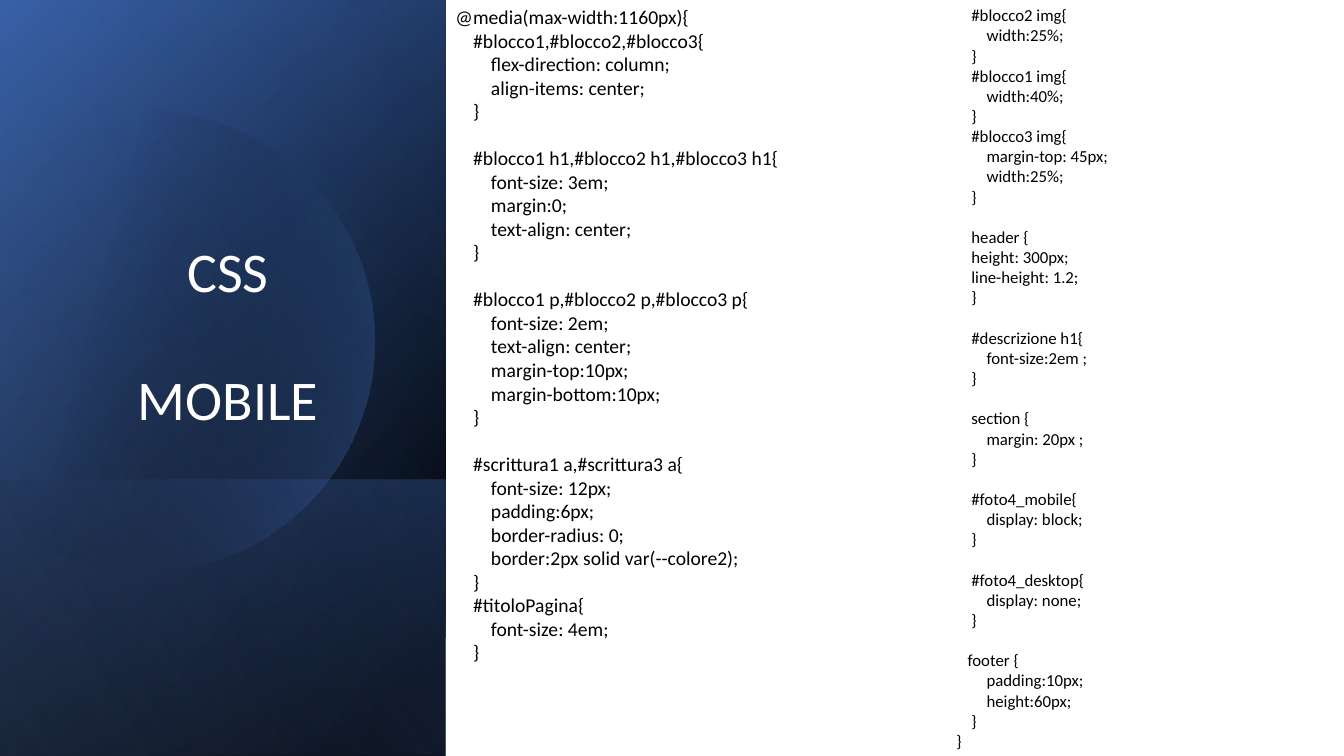
from math import acos, cos, degrees, radians, sin

from lxml import etree
from pptx import Presentation
from pptx.dml.color import RGBColor
from pptx.enum.shapes import MSO_SHAPE
from pptx.enum.text import MSO_ANCHOR, PP_ALIGN
from pptx.oxml.ns import qn
from pptx.util import Cm, Pt

RECTANGLE = MSO_SHAPE.RECTANGLE
CENTER = PP_ALIGN.CENTER
BOTTOM = MSO_ANCHOR.BOTTOM

WHITE = RGBColor(0xFF, 0xFF, 0xFF)
BLACK = RGBColor(0x00, 0x00, 0x00)
BLUE = RGBColor(0x44, 0x72, 0xC4)
DARK_BLUE = RGBColor(0x2F, 0x55, 0x97)
LIGHT_BLUE = RGBColor(0x8F, 0xAA, 0xDC)

FONT = "Calibri"
LINE_HEIGHT = 1.2
SLIDE_W, SLIDE_H = 33.87, 19.05
PANEL_W = 11.23
BAND_TOP = 12.09

TITLE = """
CSS

MOBILE
"""

LAYOUT_RULES = """
@media(max-width:1160px){
    #blocco1,#blocco2,#blocco3{
        flex-direction: column;
        align-items: center;
    }

    #blocco1 h1,#blocco2 h1,#blocco3 h1{
        font-size: 3em;
        margin:0;
        text-align: center;
    }

    #blocco1 p,#blocco2 p,#blocco3 p{
        font-size: 2em;
        text-align: center;
        margin-top:10px;
        margin-bottom:10px;
    }

    #scrittura1 a,#scrittura3 a{
        font-size: 12px;
        padding:6px;
        border-radius: 0;
        border:2px solid var(--colore2);
    }
    #titoloPagina{
        font-size: 4em;
    }
"""

ELEMENT_RULES = """
    #blocco2 img{
        width:25%;
    }
    #blocco1 img{
        width:40%;
    }
    #blocco3 img{
        margin-top: 45px;
        width:25%;
    }

    header {
    height: 300px;
    line-height: 1.2;
    }

    #descrizione h1{
        font-size:2em ;
    }

    section {
        margin: 20px ;
    }

    #foto4_mobile{
        display: block;
    }

    #foto4_desktop{
        display: none;
    }

   footer {
        padding:10px;
        height:60px;
    }
}
"""


def fill_gradient(shape, angle, stops):
    """Fill along a clockwise angle with two (position, colour, opacity) stops, all in percent."""
    shape.fill.gradient()
    shape.fill.gradient_angle = 360 - angle
    for stop, (position, color, _) in zip(shape.fill.gradient_stops, stops):
        stop.position = position / 100
        stop.color.rgb = color
    color_elements = shape._element.spPr.iter(qn("a:srgbClr"))
    for element, (_, _, opacity) in zip(color_elements, stops):
        if opacity < 100:
            etree.SubElement(element, qn("a:alpha")).set("val", str(opacity * 1000))


def strip_outline(shape):
    shape.shadow.inherit = False
    shape.line.fill.background()


def add_rectangle(slide, top, width, height):
    rectangle = slide.shapes.add_shape(RECTANGLE, 0, Cm(top), Cm(width), Cm(height))
    strip_outline(rectangle)
    return rectangle


def add_panel_layer(slide, top, angle, *stops):
    layer = add_rectangle(slide, top, PANEL_W, SLIDE_H - top)
    fill_gradient(layer, angle, stops)


def add_clipped_circle(slide, center_x, center_y, radius, angle, *stops):
    """Draw the part of a circle that lies right of the slide's left edge."""
    limit = degrees(acos(-center_x / radius))
    steps = 120
    turns = [radians(limit * (2 * i / steps - 1)) for i in range(steps + 1)]
    points = [(Cm(center_x + radius * cos(t)), Cm(center_y + radius * sin(t))) for t in turns]
    builder = slide.shapes.build_freeform(*points[0])
    builder.add_line_segments(points[1:], close=True)
    circle = builder.convert_to_shape()
    strip_outline(circle)
    fill_gradient(circle, angle, stops)


def add_lines(slide, left, top, width, height, text, size, color):
    """Put each line in a paragraph; an empty line becomes space before the next one."""
    frame = slide.shapes.add_textbox(Cm(left), Cm(top), Cm(width), Cm(height)).text_frame
    frame.word_wrap = True
    gap = False
    paragraph = frame.paragraphs[0]
    for number, line in enumerate(text.strip("\n").split("\n")):
        if not line:
            gap = True
            continue
        if number:
            paragraph = frame.add_paragraph()
        paragraph.text = line
        paragraph.font.name = FONT
        paragraph.font.size = Pt(size)
        paragraph.font.color.rgb = color
        if gap:
            paragraph.space_before = Pt(size * LINE_HEIGHT)
        gap = False
    return frame


def main():
    presentation = Presentation()
    presentation.slide_width = Cm(SLIDE_W)
    presentation.slide_height = Cm(SLIDE_H)
    slide = presentation.slides.add_slide(presentation.slide_layouts[6])

    backdrop = add_rectangle(slide, 0, SLIDE_W, SLIDE_H)
    backdrop.fill.solid()
    backdrop.fill.fore_color.rgb = WHITE

    add_panel_layer(slide, 0, 220, (8, BLACK, 100), (100, DARK_BLUE, 100))
    add_panel_layer(slide, 0, 240, (0, BLACK, 0), (99, BLUE, 46))
    add_panel_layer(slide, BAND_TOP, 140, (2, BLUE, 29), (100, BLACK, 30))
    add_clipped_circle(slide, 3.65, 8.6, 5.8, 14, (29, BLACK, 0), (100, BLUE, 43))
    add_panel_layer(slide, 0, 150, (0, BLACK, 0), (99, LIGHT_BLUE, 11))

    title = add_lines(slide, 1.3, 1.63, 8.89, 9.4, TITLE, 40, WHITE)
    title.vertical_anchor = BOTTOM
    for paragraph in title.paragraphs:
        paragraph.alignment = CENTER
        paragraph.line_spacing = 0.9

    add_lines(slide, 11.23, 0, 11.56, 17.35, LAYOUT_RULES, 14, BLACK)
    add_lines(slide, 23.85, 0, 9.75, SLIDE_H, ELEMENT_RULES, 12, BLACK)

    presentation.save("out.pptx")


if __name__ == "__main__":
    main()
